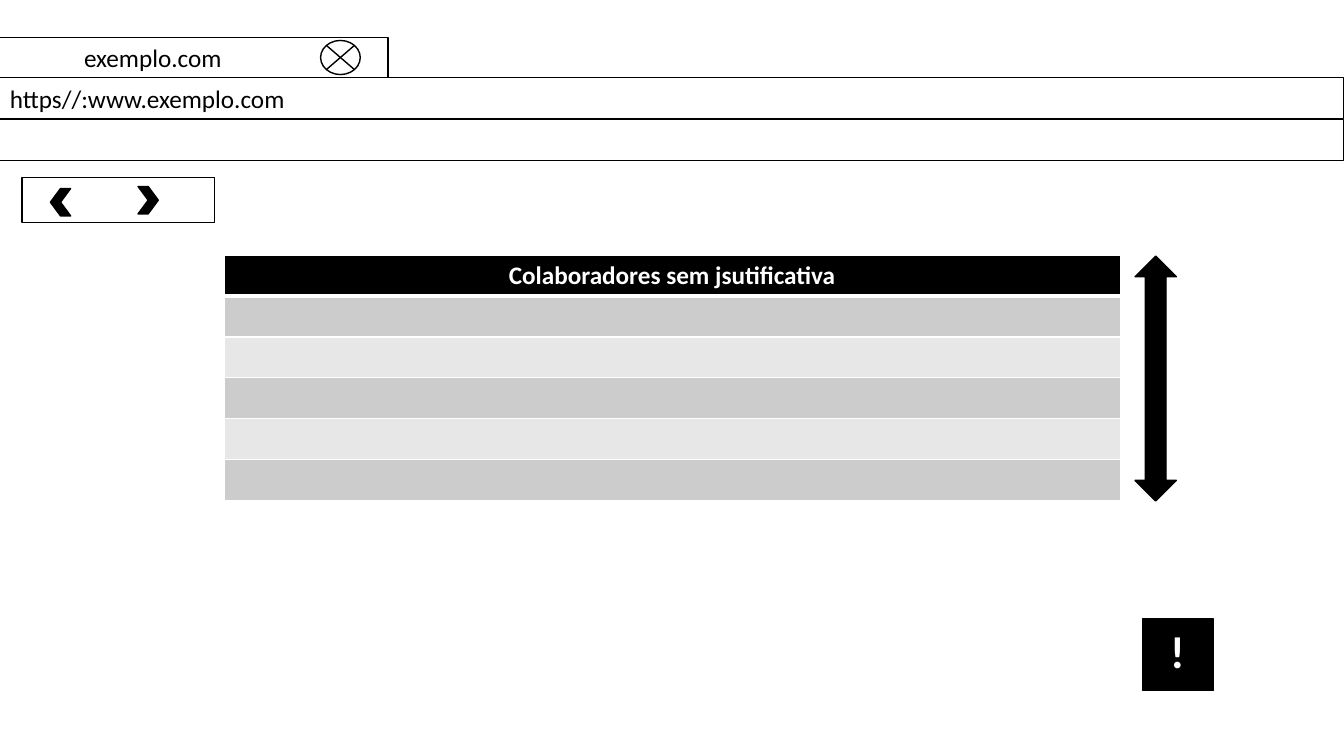
from dataclasses import dataclass

from lxml.etree import SubElement
from pptx import Presentation
from pptx.dml.color import RGBColor
from pptx.enum.shapes import MSO_SHAPE
from pptx.enum.text import MSO_ANCHOR, PP_ALIGN
from pptx.oxml.ns import qn
from pptx.util import Cm, Pt


@dataclass(frozen=True)
class Theme:
    font: str = "Calibri"
    black: str = "000000"
    white: str = "FFFFFF"
    dark_band: str = "CCCCCC"
    light_band: str = "E7E7E7"
    body: int = 18
    alert: int = 32
    thin: float = 0.75
    line: float = 1
    header_line: float = 3


THEME = Theme()


def rgb(color):
    return RGBColor.from_string(color)


def write(tf, text, size=THEME.body, color=THEME.black, bold=False, align=PP_ALIGN.LEFT):
    tf.text = text
    p = tf.paragraphs[0]
    p.alignment = align
    font = p.runs[0].font
    font.name = THEME.font
    font.size = Pt(size)
    font.bold = bold
    font.color.rgb = rgb(color)


def add_shape(s, kind, left, top, width, height, fill=None, weight=THEME.line, rotation=0):
    sp = s.shapes.add_shape(kind, Cm(left), Cm(top), Cm(width), Cm(height))
    sp.shadow.inherit = False
    sp.rotation = rotation
    if fill:
        sp.fill.solid()
        sp.fill.fore_color.rgb = rgb(fill)
    else:
        sp.fill.background()
    sp.line.color.rgb = rgb(THEME.black)
    sp.line.width = Pt(weight)
    return sp


def add_bar(s, top, width, text=None, indent=0.25):
    sp = add_shape(s, MSO_SHAPE.RECTANGLE, 0, top, width, 1.02, weight=THEME.thin)
    if text:
        tf = sp.text_frame
        tf.margin_left = Cm(indent)
        tf.vertical_anchor = MSO_ANCHOR.MIDDLE
        write(tf, text)


def add_label(s, left, top, width, height, text, size, color):
    tf = s.shapes.add_textbox(Cm(left), Cm(top), Cm(width), Cm(height)).text_frame
    tf.word_wrap = True
    write(tf, text, size, color, bold=True)


def set_borders(cell, top, bottom):
    tcPr = cell._tc.get_or_add_tcPr()
    weights = {"lnL": THEME.line, "lnR": THEME.line, "lnT": top, "lnB": bottom}
    for i, (tag, weight) in enumerate(weights.items()):
        ln = SubElement(tcPr, qn(f"a:{tag}"), w=str(Pt(weight)))
        SubElement(SubElement(ln, qn("a:solidFill")), qn("a:srgbClr"), val=THEME.white)
        tcPr.insert(i, ln)


def add_list_table(s, left, top, width, row_height, heading, fills):
    count = len(fills)
    table = s.shapes.add_table(
        count, 1, Cm(left), Cm(top), Cm(width), Cm(row_height * count)
    ).table
    for i, fill in enumerate(fills):
        table.rows[i].height = Cm(row_height)
        cell = table.cell(i, 0)
        cell.fill.solid()
        cell.fill.fore_color.rgb = rgb(fill)
        set_borders(
            cell,
            THEME.header_line if i == 1 else THEME.line,
            THEME.header_line if i == 0 else THEME.line,
        )
    write(table.cell(0, 0).text_frame, heading, color=THEME.white, bold=True,
          align=PP_ALIGN.CENTER)


def add_browser(s):
    add_bar(s, 1.96, 33.87, "https//:www.exemplo.com")
    add_bar(s, 3.02, 33.87)
    add_bar(s, 0.94, 9.78, "exemplo.com", indent=2.12)
    add_shape(s, MSO_SHAPE.FLOWCHART_SUMMING_JUNCTION, 8.08, 1.02, 1, 0.86)


def add_navigation(s):
    add_shape(s, MSO_SHAPE.RECTANGLE, 0.56, 4.47, 4.85, 1.14)
    for left, top, rotation in ((3.48, 4.7, 0), (1.27, 4.75, 180)):
        add_shape(s, MSO_SHAPE.CHEVRON, left, top, 0.51, 0.69, THEME.black, rotation=rotation)


def add_alert(s):
    add_shape(s, MSO_SHAPE.RECTANGLE, 28.8, 15.6, 1.78, 1.8, THEME.black)
    add_label(s, 29.24, 15.6, 1.32, 1.63, "!", THEME.alert, THEME.white)


def main():
    prs = Presentation()
    prs.slide_width, prs.slide_height = Cm(33.87), Cm(19.05)
    s = prs.slides.add_slide(prs.slide_layouts[6])
    add_browser(s)
    add_navigation(s)
    bands = [THEME.dark_band if i % 2 == 0 else THEME.light_band for i in range(5)]
    add_list_table(s, 5.65, 6.43, 22.58, 1.03, "Colaboradores sem jsutificativa",
                   [THEME.black, *bands])
    add_alert(s)
    add_shape(s, MSO_SHAPE.LEFT_RIGHT_ARROW, 26.04, 9.02, 6.17, 1.04, THEME.black, rotation=90)
    prs.save("out.pptx")


main()
